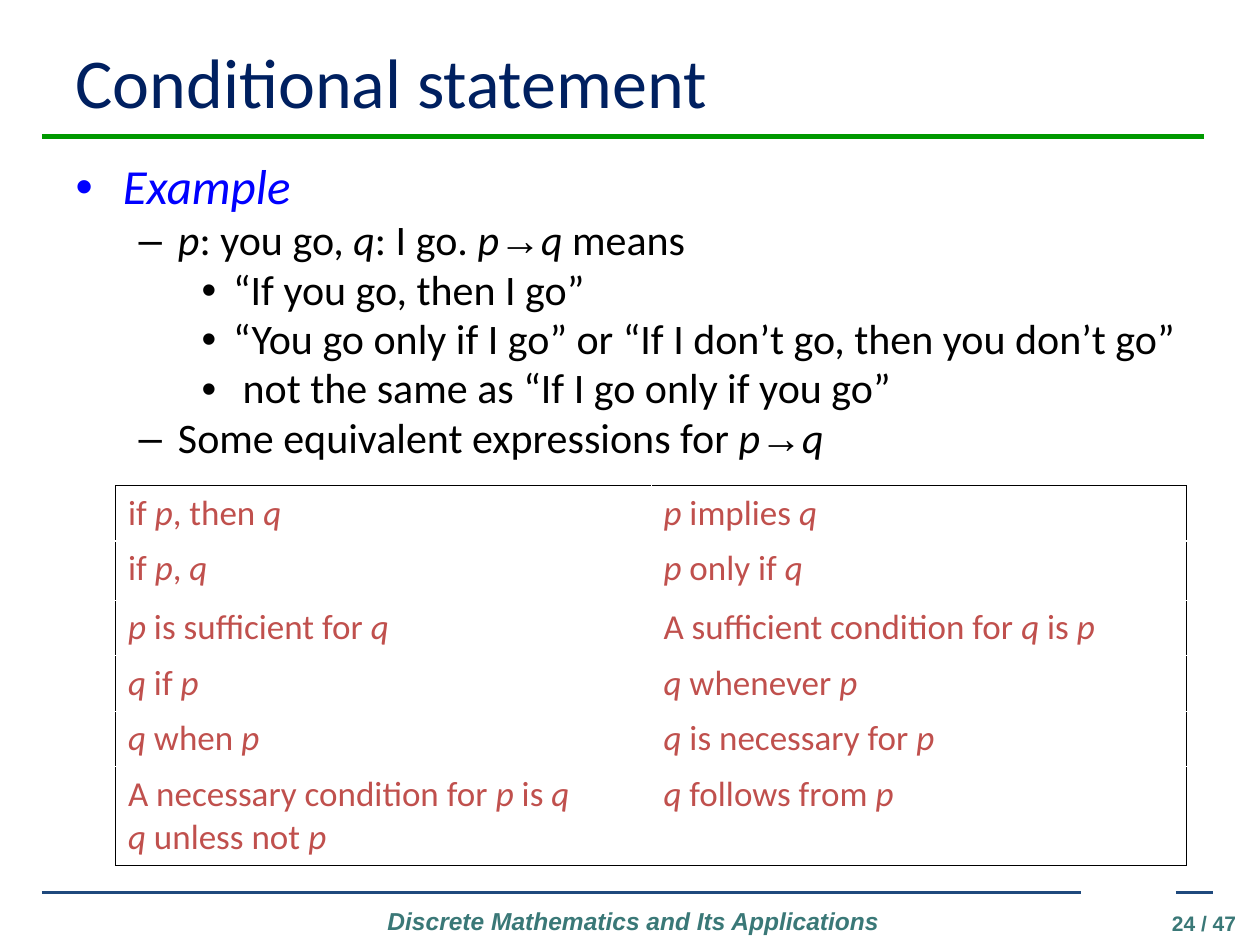
from lxml import etree
from pptx import Presentation
from pptx.dml.color import RGBColor
from pptx.enum import shapes, text
from pptx.oxml import ns
from pptx.util import Pt

NAVY = RGBColor(0x00, 0x20, 0x60)
BLUE = RGBColor(0x00, 0x00, 0xFF)
BLACK = RGBColor(0x00, 0x00, 0x00)
WHITE = RGBColor(0xFF, 0xFF, 0xFF)
RED = RGBColor(0xC0, 0x50, 0x4D)
GREEN = RGBColor(0x00, 0x99, 0x00)
STEEL = RGBColor(0x1F, 0x49, 0x7D)
TEAL = RGBColor(0x3A, 0x78, 0x77)

TITLE = "Conditional statement"
BULLETS = [
    (0, "*Example*", 28, BLUE),
    (1, "*p*: you go, *q*: I go. *p→q* means", 24, BLACK),
    (2, "“If you go, then I go”", 24, BLACK),
    (2, "“You go only if I go” or “If I don’t go, then you don’t go”", 24, BLACK),
    (2, " not the same as “If I go only if you go”", 24, BLACK),
    (1, "Some equivalent expressions for *p→q*", 24, BLACK),
]
EXPRESSIONS = [
    (["if *p*, then *q*"], ["*p* implies *q*"]),
    (["if *p*, *q*"], ["*p* only if *q*"]),
    (["*p* is sufficient for *q*"], ["A sufficient condition for *q* is *p*"]),
    (["*q* if *p*"], ["*q* whenever *p*"]),
    (["*q* when *p*"], ["*q* is necessary for *p*"]),
    (["A necessary condition for *p* is *q*", "*q* unless not *p*"],
     ["*q* follows from *p*"]),
]
ROW_HEIGHTS = [31.5, 33.75, 31.5, 31.5, 31.5, 55.5]
COLUMN_WIDTH = 306
RULES = [
    (24, 688, 78, GREEN, 3),
    (24, 618, 510, STEEL, 2.25),
    (672, 693, 510, STEEL, 2.25),
]
FOOTERS = [
    ("*Discrete Mathematics and Its Applications*", 14,
     text.PP_ALIGN.CENTER, (204, 514, 316, 24.5)),
    ("24 / 47", 12, text.PP_ALIGN.RIGHT, (640, 517, 73.5, 17)),
]


def write(para, marked, size, color, font="Calibri", bold=False,
          align=text.PP_ALIGN.LEFT):
    para.alignment = align
    para.space_before = Pt(0)
    for index, part in enumerate(marked.split("*")):
        for piece in part.replace("→", "\n→\n").split("\n"):
            if not piece:
                continue
            span = para.add_run()
            span.text = piece
            span.font.name = "Arial" if piece == "→" else font
            span.font.size = Pt(size)
            span.font.bold = bold
            span.font.italic = index % 2 == 1 and piece != "→"
            span.font.color.rgb = color


def place(shape, left, top, width, height):
    shape.left, shape.top = Pt(left), Pt(top)
    shape.width, shape.height = Pt(width), Pt(height)
    shape.text_frame.word_wrap = True
    shape.text_frame.auto_size = text.MSO_AUTO_SIZE.NONE


def set_borders(cell, borders):
    properties = cell._tc.get_or_add_tcPr()
    for index, (side, color, width) in enumerate(borders):
        line = etree.Element(ns.qn(f"a:ln{side}"), w=str(Pt(width)))
        fill = etree.SubElement(line, ns.qn("a:solidFill"))
        etree.SubElement(fill, ns.qn("a:srgbClr"), val=str(color))
        properties.insert(index, line)


def add_rules(page):
    for start, end, y, color, width in RULES:
        rule = page.shapes.add_connector(
            shapes.MSO_CONNECTOR.STRAIGHT, Pt(start), Pt(y), Pt(end), Pt(y))
        rule.line.color.rgb = color
        rule.line.width = Pt(width)
        etree.SubElement(rule._element.spPr, ns.qn("a:effectLst"))


def add_footers(page):
    for words, size, align, area in FOOTERS:
        box = page.shapes.add_textbox(0, 0, 0, 0)
        place(box, *area)
        write(box.text_frame.paragraphs[0], words, size, TEAL,
              font="Arial", bold=True, align=align)


def fill_placeholders(page):
    title, body = page.placeholders
    place(title, 36, 18, 648, 55.5)
    title.text_frame.vertical_anchor = text.MSO_ANCHOR.MIDDLE
    write(title.text_frame.paragraphs[0], TITLE, 40, NAVY)
    place(body, 36, 87, 660, 185)
    frame = body.text_frame
    for index, (level, words, size, color) in enumerate(BULLETS):
        para = frame.add_paragraph() if index else frame.paragraphs[0]
        para.level = level
        para.line_spacing = 0.98
        write(para, words, size, color)


def add_expressions(page):
    last = len(EXPRESSIONS) - 1
    table = page.shapes.add_table(
        len(EXPRESSIONS), 2, Pt(66), Pt(277.5),
        Pt(2 * COLUMN_WIDTH), Pt(sum(ROW_HEIGHTS))).table
    table.first_row = table.horz_banding = False
    for column in table.columns:
        column.width = Pt(COLUMN_WIDTH)
    for r, cells in enumerate(EXPRESSIONS):
        table.rows[r].height = Pt(ROW_HEIGHTS[r])
        for c, lines in enumerate(cells):
            cell = table.cell(r, c)
            cell.fill.solid()
            cell.fill.fore_color.rgb = WHITE
            set_borders(cell, [
                ("L", WHITE if c else BLACK, 0.45),
                ("R", BLACK if c else WHITE, 0.45),
                ("T", WHITE if r else BLACK, 1.47 if r == 1 else 0.45),
                ("B", BLACK if r == last else WHITE, 1.47 if r == 0 else 0.45),
            ])
            frame = cell.text_frame
            for index, words in enumerate(lines):
                para = frame.add_paragraph() if index else frame.paragraphs[0]
                write(para, words, 20, RED)


def main():
    deck = Presentation()
    deck.slide_width, deck.slide_height = Pt(720), Pt(540)
    page = deck.slides.add_slide(deck.slide_layouts[1])
    add_rules(page)
    add_footers(page)
    fill_placeholders(page)
    add_expressions(page)
    deck.save("out.pptx")


if __name__ == "__main__":
    main()
